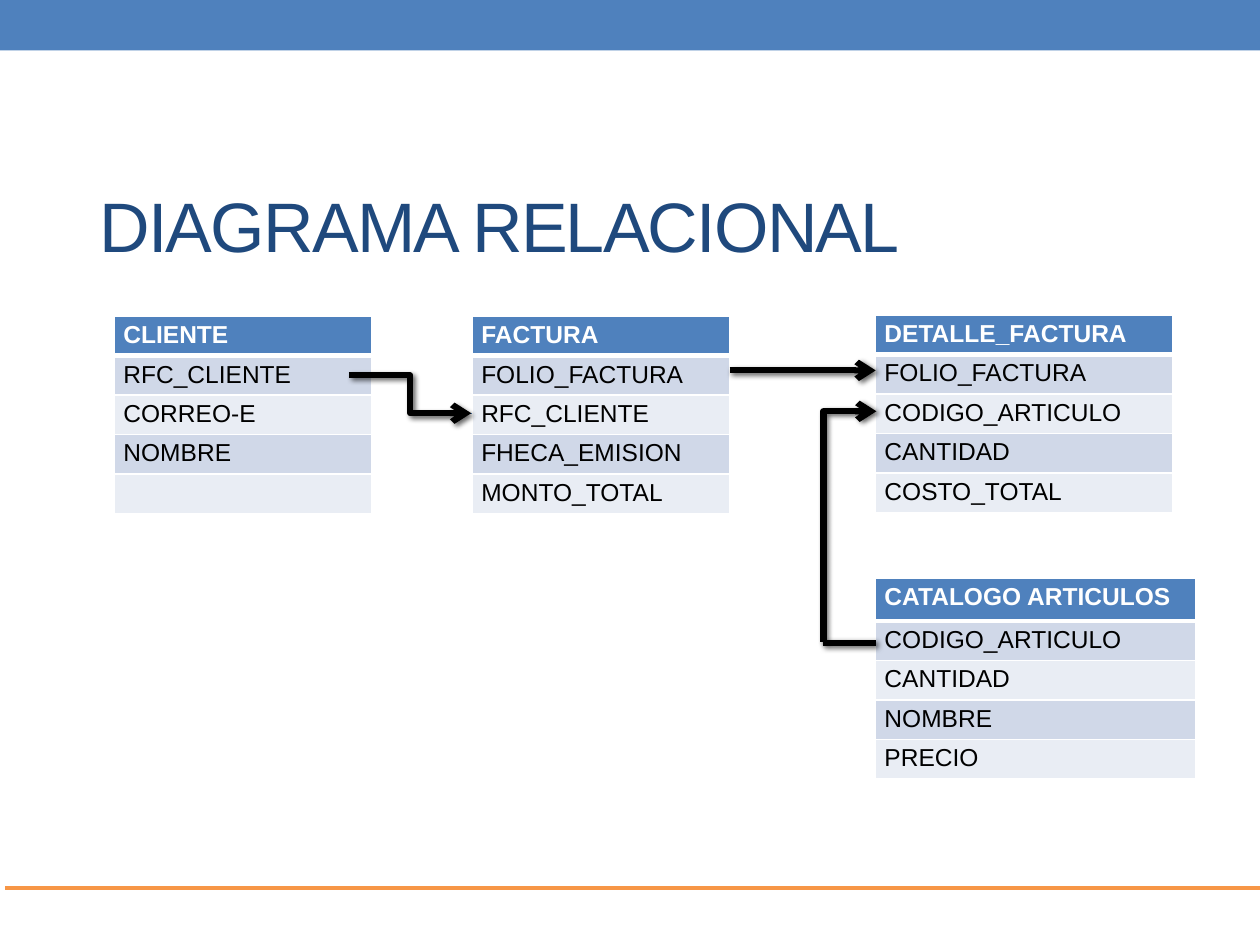
from typing import NamedTuple

from lxml import etree
from pptx import Presentation
from pptx import util as u
from pptx.dml.color import RGBColor
from pptx.enum import shapes, text
from pptx.oxml.ns import qn

COLORS = {
    "blue": "4F81BD", "navy": "1F497D", "orange": "F79646", "black": "000000",
    "white": "FFFFFF", "band_dark": "D0D8E8", "band_light": "E9EDF4",
}
FONT = "Arial"
ROW_HEIGHT = 0.31


class Entity(NamedTuple):
    left: float
    top: float
    width: float
    header_height: float
    name: str
    fields: tuple[str, ...]


class Link(NamedTuple):
    start: tuple[float, float]
    end: tuple[float, float]
    elbow: bool = False
    arrow: bool = True
    color: str = "black"
    width: float = 3.5
    shadow: bool = True
    quarter_turn: bool = False  # single-bend elbow turned 90 degrees


ENTITIES = [
    Entity(0.91, 2.51, 2.04, 0.3, "CLIENTE",
           ("RFC_CLIENTE", "CORREO-E", "NOMBRE", "")),
    Entity(3.75, 2.51, 2.04, 0.31, "FACTURA",
           ("FOLIO_FACTURA", "RFC_CLIENTE", "FHECA_EMISION", "MONTO_TOTAL")),
    Entity(6.95, 2.5, 2.36, 0.31, "DETALLE_FACTURA",
           ("FOLIO_FACTURA", "CODIGO_ARTICULO", "CANTIDAD", "COSTO_TOTAL")),
    Entity(6.95, 4.59, 2.54, 0.34, "CATALOGO ARTICULOS",
           ("CODIGO_ARTICULO", "CANTIDAD", "NOMBRE", "PRECIO")),
]

LINKS = [
    Link((2.79, 2.98), (3.75, 3.28), elbow=True, arrow=False,
         color="blue", width=0.75, shadow=False),
    Link((7.66, 4.39), (5.83, 3.97), elbow=True, quarter_turn=True),
    Link((6.53, 5.1), (6.95, 5.1), arrow=False),
    Link((2.77, 2.98), (3.74, 3.28), elbow=True),
    Link((5.79, 2.94), (6.95, 2.94)),
]


def rgb(color: str) -> RGBColor:
    return RGBColor.from_string(COLORS[color])


def add_solid_fill(parent, color: str):
    fill = etree.SubElement(parent, qn("a:solidFill"))
    return etree.SubElement(fill, qn("a:srgbClr"), val=COLORS[color])


def write_text(frame, content: str, *, size: float, color: str,
               bold: bool = False, spacing: float = 0) -> None:
    paragraph = frame.paragraphs[0]
    if not content:
        # An empty cell keeps the row's text height
        etree.SubElement(paragraph._p, qn("a:endParaRPr"), sz=str(int(size * 100)))
        return
    run = paragraph.add_run()
    run.text = content
    run.font.name = FONT
    run.font.size = u.Pt(size)
    run.font.bold = bold
    run.font.color.rgb = rgb(color)
    if spacing:
        run._r.get_or_add_rPr().set("spc", str(int(spacing * 100)))


def set_borders(cell, top: float, bottom: float) -> None:
    properties = cell._tc.get_or_add_tcPr()
    for side, width in (("L", 1), ("R", 1), ("T", top), ("B", bottom)):
        border = etree.SubElement(properties, qn(f"a:ln{side}"), w=str(u.Pt(width)))
        add_solid_fill(border, "white")


def draw_entity(slide, entity: Entity) -> None:
    labels = (entity.name, *entity.fields)
    heights = [entity.header_height] + [ROW_HEIGHT] * len(entity.fields)
    table = slide.shapes.add_table(
        len(labels), 1, u.Inches(entity.left), u.Inches(entity.top),
        u.Inches(entity.width), u.Inches(sum(heights))).table
    table.first_row = table.horz_banding = False
    for row, (label, height) in enumerate(zip(labels, heights)):
        table.rows[row].height = u.Inches(height)
        cell = table.cell(row, 0)
        cell.margin_left = cell.margin_right = u.Inches(0.07)
        cell.margin_top = cell.margin_bottom = u.Inches(0.04)
        is_header = row == 0
        set_borders(cell, top=3 if row == 1 else 1, bottom=3 if is_header else 1)
        band = "band_dark" if row % 2 else "band_light"
        cell.fill.solid()
        cell.fill.fore_color.rgb = rgb("blue" if is_header else band)
        write_text(cell.text_frame, label, size=14, bold=is_header,
                   color="white" if is_header else "black")


def draw_link(slide, link: Link) -> None:
    kind = shapes.MSO_CONNECTOR.ELBOW if link.elbow else shapes.MSO_CONNECTOR.STRAIGHT
    connector = slide.shapes.add_connector(
        kind, *(u.Inches(value) for value in (*link.start, *link.end)))
    connector.line.color.rgb = rgb(link.color)
    connector.line.width = u.Pt(link.width)
    properties = connector._element.spPr
    if link.quarter_turn:
        properties.find(qn("a:xfrm")).set("rot", str(90 * 60000))
        properties.find(qn("a:prstGeom")).set("prst", "bentConnector2")
    if link.arrow:
        etree.SubElement(properties.find(qn("a:ln")), qn("a:tailEnd"), type="arrow")
    effects = etree.SubElement(properties, qn("a:effectLst"))
    if link.shadow:
        shadow = etree.SubElement(
            effects, qn("a:outerShdw"), blurRad=str(u.Pt(3)), dist=str(u.Pt(2)),
            dir=str(45 * 60000), rotWithShape="0")
        shadow_color = etree.SubElement(shadow, qn("a:srgbClr"), val=COLORS["black"])
        etree.SubElement(shadow_color, qn("a:alpha"), val="60000")


def main() -> None:
    deck = Presentation()
    deck.slide_width, deck.slide_height = u.Inches(10), u.Inches(7.5)
    slide = deck.slides.add_slide(deck.slide_layouts[6])

    # Top band and bottom rule
    band = slide.shapes.add_shape(
        shapes.MSO_SHAPE.RECTANGLE, 0, 0, deck.slide_width, u.Inches(0.4))
    band.shadow.inherit = False
    band.fill.solid()
    band.fill.fore_color.rgb = rgb("blue")
    band.line.fill.background()
    draw_link(slide, Link((0.04, 7.05), (10.04, 7.05), arrow=False,
                          color="orange", width=2.25, shadow=False))

    # Title
    title = slide.shapes.add_textbox(
        u.Inches(0.69), u.Inches(1.24), u.Inches(8.62), u.Inches(1.09)).text_frame
    title.word_wrap = True
    title.vertical_anchor = text.MSO_ANCHOR.MIDDLE
    write_text(title, "DIAGRAMA RELACIONAL", size=40, color="navy", spacing=-1)

    # Entities and their relations
    for entity in ENTITIES:
        draw_entity(slide, entity)
    for link in LINKS:
        draw_link(slide, link)

    deck.save("out.pptx")


if __name__ == "__main__":
    main()
